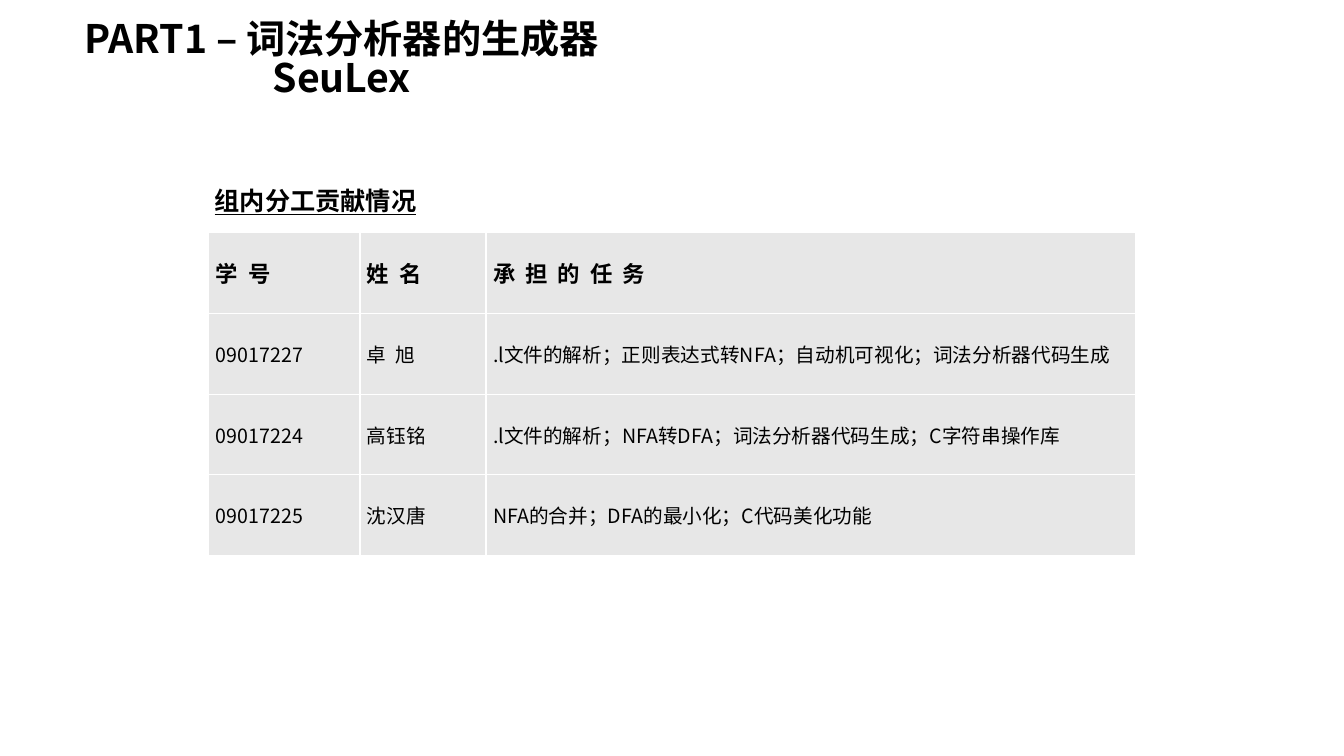
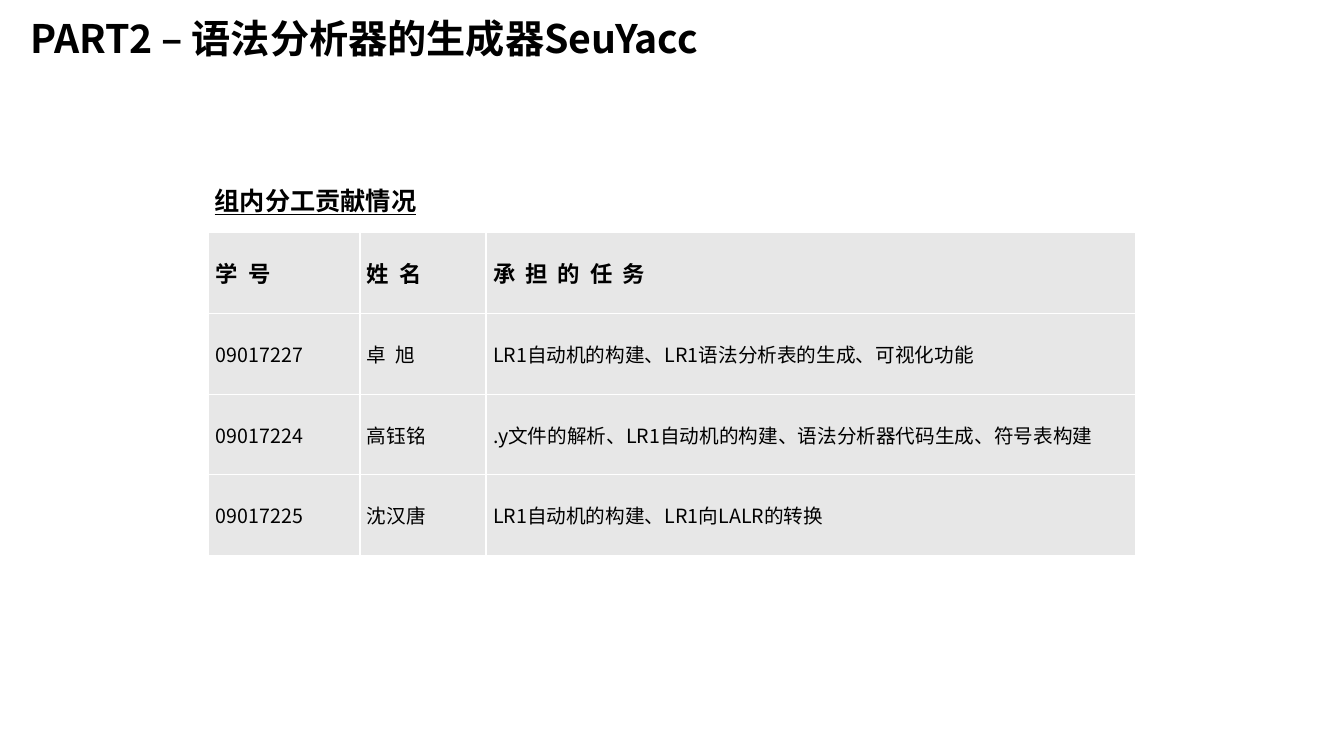
from lxml.etree import SubElement
from pptx import Presentation
from pptx.dml.color import RGBColor
from pptx.enum.text import MSO_ANCHOR, MSO_AUTO_SIZE, PP_ALIGN
from pptx.oxml.ns import qn
from pptx.util import Inches, Pt

BLACK = RGBColor(0, 0, 0)
WHITE = RGBColor(255, 255, 255)
GREY = RGBColor(0xE7, 0xE7, 0xE7)
FONT = "Noto Sans CJK SC"

TITLE = {"size": Pt(28), "bold": True}
LABEL = {"size": Pt(18), "bold": True, "underline": True}
HEAD = {"size": Pt(16), "bold": True}
BODY = {"size": Pt(14), "bold": False}
FRAME = {"word_wrap": True, "auto_size": MSO_AUTO_SIZE.SHAPE_TO_FIT_TEXT,
         "vertical_anchor": MSO_ANCHOR.TOP, "margin_left": Inches(0.1),
         "margin_right": Inches(0.1), "margin_top": Inches(0.08),
         "margin_bottom": Inches(0.05)}
CELL = {"vertical_anchor": MSO_ANCHOR.MIDDLE, "margin_left": Inches(0.07),
        "margin_right": Inches(0.07), "margin_top": 0, "margin_bottom": 0}

COLS = (1.5, 1.25, 6.44)
ROW = 0.8
TEAM = (("09017227", "卓  旭"), ("09017224", "高钰铭"), ("09017225", "沈汉唐"))
PARTS = (
    ("PART1 – 词法分析器的生成器SeuLex", 6.56,
     (".l文件的解析；正则表达式转NFA；自动机可视化；词法分析器代码生成",
      ".l文件的解析；NFA转DFA；词法分析器代码生成；C字符串操作库",
      "NFA的合并；DFA的最小化；C代码美化功能")),
    ("PART2 – 语法分析器的生成器SeuYacc", 7,
     ("LR1自动机的构建、LR1语法分析表的生成、可视化功能",
      ".y文件的解析、LR1自动机的构建、语法分析器代码生成、符号表构建",
      "LR1自动机的构建、LR1向LALR的转换")),
)


def assign(item, values):
    """Set each named value on the item."""
    for name, value in values.items():
        setattr(item, name, value)


class Deck:
    """Hold the shared style and the current slide."""

    def __init__(self):
        """Start a wide presentation."""
        self.show = Presentation()
        self.show.slide_width = Inches(13.33)
        self.show.slide_height = Inches(7.5)
        self.slide = None

    def add(self):
        """Add a title-only slide."""
        self.slide = self.show.slides.add_slide(self.show.slide_layouts[5])

    def text(self, frame, words, style, align=PP_ALIGN.LEFT):
        """Put one styled paragraph in a frame."""
        para = frame.paragraphs[0]
        para.alignment = align
        run = para.add_run()
        run.text = words
        assign(run.font, {"name": FONT, **style})
        run.font.color.rgb = BLACK
        SubElement(run.font._element, qn("a:ea"), typeface=FONT)
        return para

    def fill(self, shape, words, style, align):
        """Format a text frame with tight lines."""
        assign(shape.text_frame, FRAME)
        self.text(shape.text_frame, words, style, align).line_spacing = 0.83

    def title(self, words, width):
        """Place the slide title."""
        shape = self.slide.shapes.title
        assign(shape, {"left": Inches(0.11), "top": Inches(0.14),
                       "width": Inches(width), "height": Inches(0.57)})
        self.fill(shape, words, TITLE, PP_ALIGN.CENTER)

    def label(self, words):
        """Add the underlined heading over the table."""
        box = self.slide.shapes.add_textbox(
            Inches(2.03), Inches(1.81), Inches(2.29), Inches(0.4))
        self.fill(box, words, LABEL, PP_ALIGN.LEFT)

    def edge(self, cell):
        """Draw thin white borders round a cell."""
        props = cell._tc.get_or_add_tcPr()
        for spot, side in enumerate(("lnL", "lnR", "lnT", "lnB")):
            line = props.makeelement(qn("a:" + side), {"w": str(Pt(1))})
            props.insert(spot, line)
            paint = SubElement(line, qn("a:solidFill"))
            SubElement(paint, qn("a:srgbClr"), val=str(WHITE))

    def table(self, rows):
        """Add the table of members and tasks."""
        grid = self.slide.shapes.add_table(
            len(rows), len(COLS), Inches(2.07), Inches(2.31),
            Inches(sum(COLS)), Inches(ROW * len(rows))).table
        assign(grid, {"first_row": False, "horz_banding": False})
        for col, width in zip(grid.columns, COLS):
            col.width = Inches(width)
        for r, row in enumerate(rows):
            grid.rows[r].height = Inches(ROW)
            for c, words in enumerate(row):
                cell = grid.cell(r, c)
                assign(cell, CELL)
                cell.fill.solid()
                cell.fill.fore_color.rgb = GREY
                self.edge(cell)
                self.text(cell.text_frame, words, BODY if r else HEAD)


def main():
    """Build one slide for each part."""
    deck = Deck()
    for name, width, tasks in PARTS:
        deck.add()
        deck.table([("学  号", "姓  名", "承  担  的  任  务")]
                   + [(*who, task) for who, task in zip(TEAM, tasks)])
        deck.title(name, width)
        deck.label("组内分工贡献情况")
    deck.show.save("out.pptx")


main()
